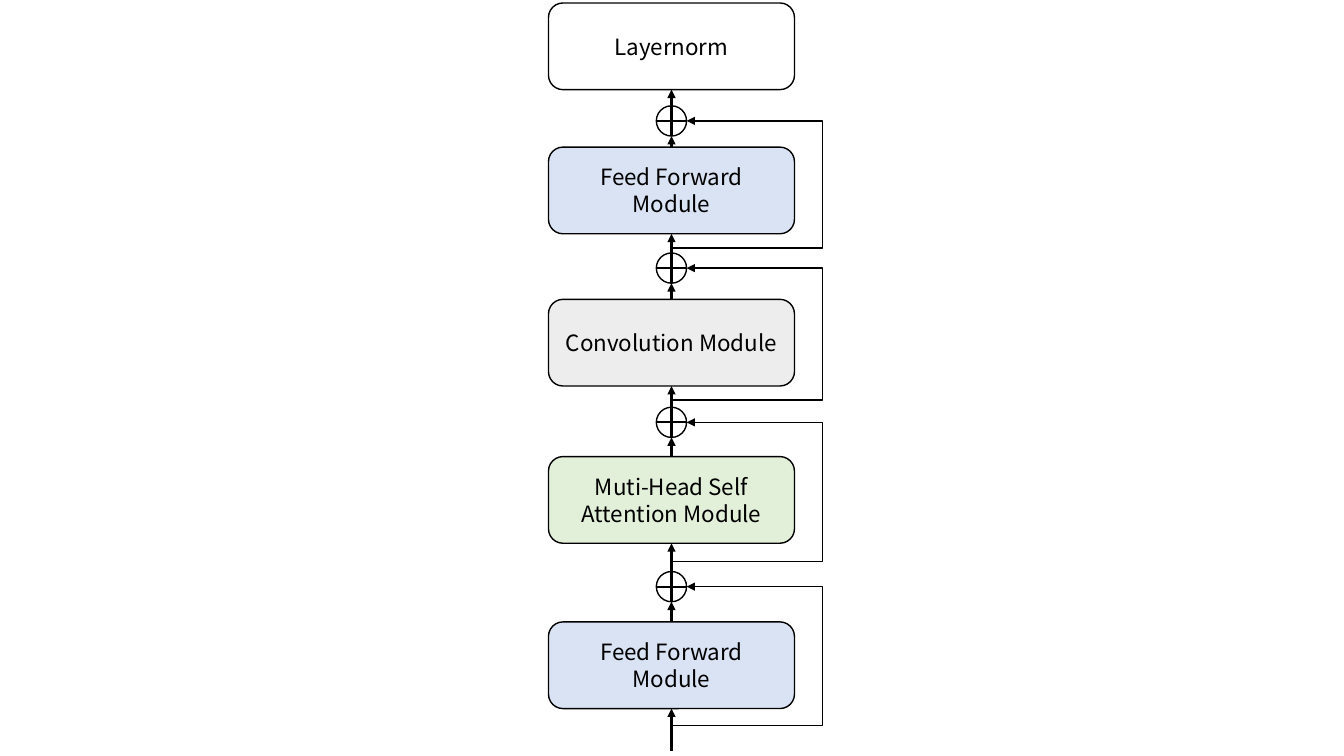
import pptx
import pptx.util
import pptx.dml.color
import pptx.enum.shapes
import pptx.enum.text
import pptx.oxml
import pptx.oxml.ns

BLACK = pptx.dml.color.RGBColor(0x00, 0x00, 0x00)
WHITE = pptx.dml.color.RGBColor(0xFF, 0xFF, 0xFF)
BLUE = pptx.dml.color.RGBColor(0xDA, 0xE3, 0xF3)
GREEN = pptx.dml.color.RGBColor(0xE2, 0xF0, 0xD9)
GRAY = pptx.dml.color.RGBColor(0xED, 0xED, 0xED)

# label, fill, module top, height of the residual tap, centre of the sum above
MODULES = [
    ("Feed Forward Module", BLUE, 6.17, 7.2, 5.82),
    ("Muti-Head Self Attention Module", GREEN, 4.53, 5.57, 4.19),
    ("Convolution Module", GRAY, 2.97, 3.97, 2.66),
    ("Feed Forward Module", BLUE, 1.46, 2.46, 1.2),
]
OUTPUT = ("Layernorm", WHITE, 0.03)
LABEL_FORMAT = {"name": "Noto Sans CJK SC", "size": pptx.util.Pt(16)}

SLIDE_WIDTH, SLIDE_HEIGHT = 13.33, 7.5
AXIS = 6.66
MODULE_WIDTH, MODULE_HEIGHT = 2.44, 0.86
SUM_RADIUS = 0.15
BYPASS = 8.16
INPUT_START = 7.45

SHAPES = pptx.enum.shapes.MSO_SHAPE
CONNECTORS = pptx.enum.shapes.MSO_CONNECTOR
inches = pptx.util.Inches

deck = pptx.Presentation()
deck.slide_width, deck.slide_height = inches(SLIDE_WIDTH), inches(SLIDE_HEIGHT)
slide = deck.slides.add_slide(deck.slide_layouts[6])


def add_outlined(preset, top, width, height, fill):
    outlined = slide.shapes.add_shape(
        preset, inches(AXIS - width / 2), inches(top), inches(width), inches(height))
    outlined.shadow.inherit = False
    outlined.fill.solid()
    outlined.fill.fore_color.rgb = fill
    outlined.line.color.rgb = BLACK
    outlined.line.width = pptx.util.Pt(1)
    return outlined


def add_module(label, fill, top):
    module = add_outlined(SHAPES.ROUNDED_RECTANGLE, top, MODULE_WIDTH, MODULE_HEIGHT, fill)
    module.text_frame.word_wrap = True
    module.text_frame.vertical_anchor = pptx.enum.text.MSO_ANCHOR.MIDDLE
    paragraph = module.text_frame.paragraphs[0]
    paragraph.alignment = pptx.enum.text.PP_ALIGN.CENTER
    run = paragraph.add_run()
    run.text = label
    for attribute, value in LABEL_FORMAT.items():
        setattr(run.font, attribute, value)
    run.font.color.rgb = BLACK


def add_line(start, end, weight=1.5, arrow=True, kind=CONNECTORS.STRAIGHT):
    line = slide.shapes.add_connector(kind, *map(inches, start + end))
    line.line.color.rgb = BLACK
    line.line.width = pptx.util.Pt(weight)
    properties = line._element.spPr
    if arrow:
        head = pptx.oxml.parse_xml(
            f'<a:tailEnd {pptx.oxml.ns.nsdecls("a")} type="triangle"/>')
        properties.find(pptx.oxml.ns.qn("a:ln")).append(head)
    properties.append(pptx.oxml.parse_xml(
        f'<a:effectLst {pptx.oxml.ns.nsdecls("a")}/>'))
    return line


def add_sum(centre):
    add_outlined(SHAPES.OVAL, centre - SUM_RADIUS, 2 * SUM_RADIUS, 2 * SUM_RADIUS, WHITE)
    add_line((AXIS, centre - SUM_RADIUS), (AXIS, centre + SUM_RADIUS), arrow=False)
    add_line((AXIS - SUM_RADIUS, centre), (AXIS + SUM_RADIUS, centre), arrow=False)


def add_residual(tap, centre):
    residual = add_line((AXIS, tap), (AXIS + SUM_RADIUS, centre),
                        weight=1, kind=CONNECTORS.ELBOW)
    bend = round((BYPASS - AXIS) / SUM_RADIUS * 100000)
    geometry = residual._element.spPr.find(pptx.oxml.ns.qn("a:prstGeom"))
    geometry.get_or_add_avLst().append(pptx.oxml.parse_xml(
        f'<a:gd {pptx.oxml.ns.nsdecls("a")} name="adj1" fmla="val {bend}"/>'))


flow_start = INPUT_START
for label, fill, top, tap, centre in MODULES:
    add_module(label, fill, top)
    add_line((AXIS, flow_start), (AXIS, top + MODULE_HEIGHT))
    add_sum(centre)
    add_line((AXIS, top), (AXIS, centre + SUM_RADIUS))
    add_residual(tap, centre)
    flow_start = centre - SUM_RADIUS

add_module(*OUTPUT)
add_line((AXIS, flow_start), (AXIS, OUTPUT[2] + MODULE_HEIGHT))

deck.save("out.pptx")
